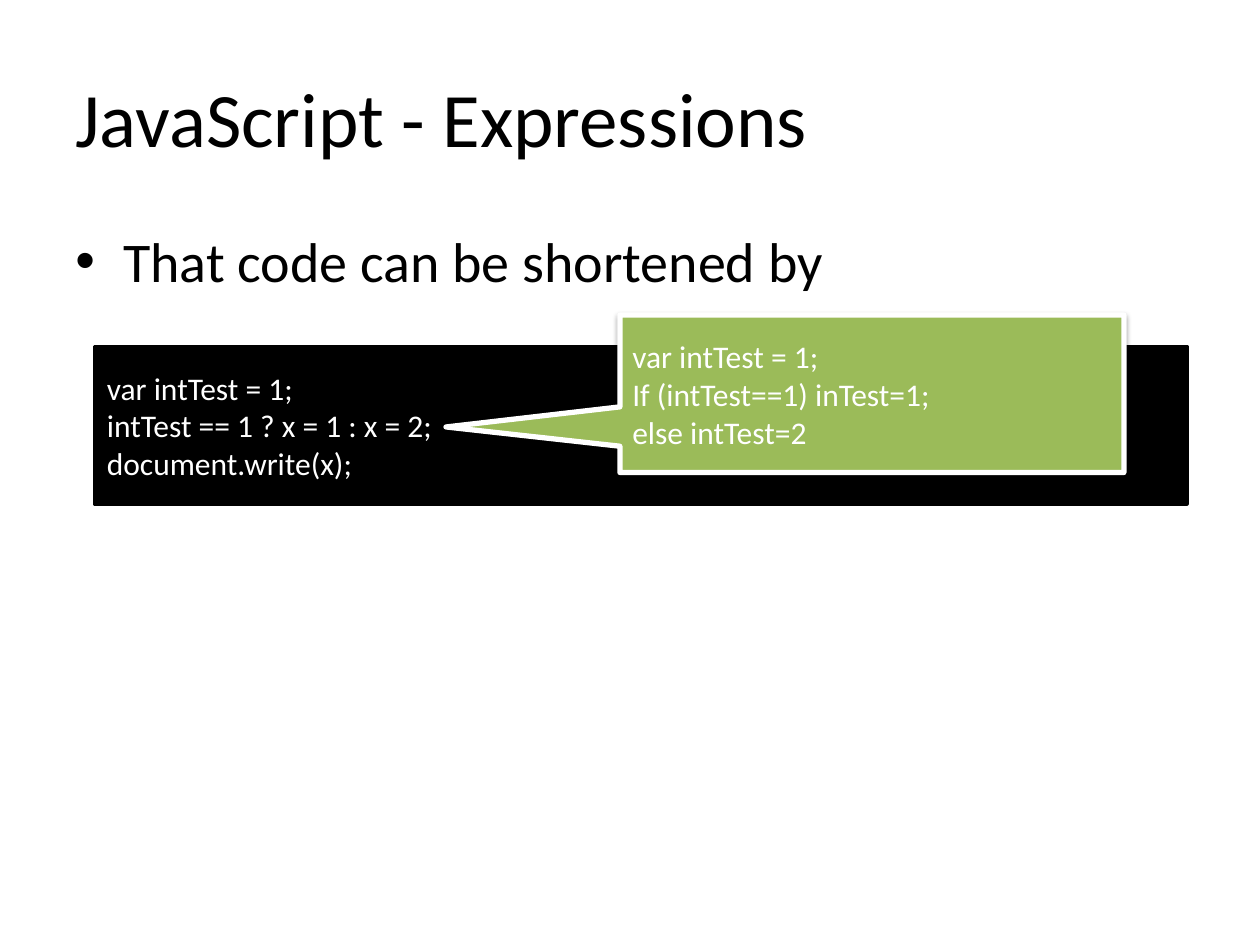
from lxml.etree import SubElement
from pptx import Presentation
from pptx.dml.color import RGBColor
from pptx.enum.shapes import MSO_SHAPE as Shape
from pptx.enum.text import MSO_ANCHOR as Anchor, PP_ALIGN as Align
from pptx.oxml.ns import qn
from pptx.util import Inches, Pt

COLORS = {"black": "000000", "white": "FFFFFF", "green": "9BBB59"}
FONT = "Calibri"
TITLE = "JavaScript - Expressions"
BULLET = "That code can be shortened by"
# Each paragraph is a list of lines.
SHORT_CODE = [["var intTest = 1;", "intTest == 1 ? x = 1 : x = 2;", "document.write(x);"]]
LONG_CODE = [["var intTest = 1;"], ["If (intTest==1) inTest=1;"], ["else intTest=2"]]


def rgb(name):
    """Look up a named colour."""
    return RGBColor.from_string(COLORS[name])


def write(shape, paragraphs, size, color, anchor=Anchor.MIDDLE):
    """Write left-aligned paragraphs, with breaks between their lines."""
    frame = shape.text_frame
    frame.word_wrap = True
    frame.vertical_anchor = anchor
    for index, lines in enumerate(paragraphs):
        paragraph = frame.add_paragraph() if index else frame.paragraphs[0]
        paragraph.alignment = Align.LEFT
        for number, line in enumerate(lines):
            if number:
                paragraph.add_line_break()
            run = paragraph.add_run()
            run.text = line
            run.font.name = FONT
            run.font.size = Pt(size)
            run.font.color.rgb = rgb(color)


def add_text(slide, box, text, size, anchor):
    """Add a text box with one paragraph."""
    shape = slide.shapes.add_textbox(*map(Inches, box))
    write(shape, [[text]], size, "black", anchor)
    return shape


def add_code(slide, kind, box, paragraphs, fill, line, width):
    """Add a filled shape that holds code."""
    shape = slide.shapes.add_shape(kind, *map(Inches, box))
    shape.shadow.inherit = False
    shape.fill.solid()
    shape.fill.fore_color.rgb = rgb(fill)
    shape.line.color.rgb = rgb(line)
    shape.line.width = Pt(width)
    write(shape, paragraphs, 18, "white")
    return shape


def add_bullet(paragraph):
    """Give a paragraph a hanging bullet and proportional space before."""
    properties = paragraph._p.get_or_add_pPr()
    properties.set("marL", str(Inches(0.38)))
    properties.set("indent", str(-Inches(0.38)))
    space = SubElement(properties, qn("a:spcBef"))
    SubElement(space, qn("a:spcPct"), val="20000")
    SubElement(properties, qn("a:buFont"), typeface="Arial")
    SubElement(properties, qn("a:buChar"), char="\u2022")


def add_shadow(shape):
    """Add a soft shadow that falls straight down."""
    effects = shape._element.spPr.find(qn("a:effectLst"))
    shadow = SubElement(effects, qn("a:outerShdw"), blurRad=str(Pt(3.1)),
                        dist=str(Pt(1.6)), dir="5400000", rotWithShape="0")
    color = SubElement(shadow, qn("a:srgbClr"), val=COLORS["black"])
    SubElement(color, qn("a:alpha"), val="38000")


presentation = Presentation()
presentation.slide_width, presentation.slide_height = Inches(10), Inches(7.5)
slide = presentation.slides.add_slide(presentation.slide_layouts[6])

add_text(slide, (0.5, 0.3, 9, 1.25), TITLE, 44, Anchor.MIDDLE)
body = add_text(slide, (0.5, 1.75, 9, 4.95), BULLET, 32, Anchor.TOP)
add_bullet(body.text_frame.paragraphs[0])

add_code(slide, Shape.RECTANGLE, (0.75, 2.75, 8.67, 1.25), SHORT_CODE, "black", "black", 2)
callout = add_code(slide, Shape.RECTANGULAR_CALLOUT, (4.92, 2.5, 4, 1.25),
                   LONG_CODE, "green", "white", 3)
callout.adjustments[0], callout.adjustments[1] = -0.845, 0.211
add_shadow(callout)

presentation.save("out.pptx")
